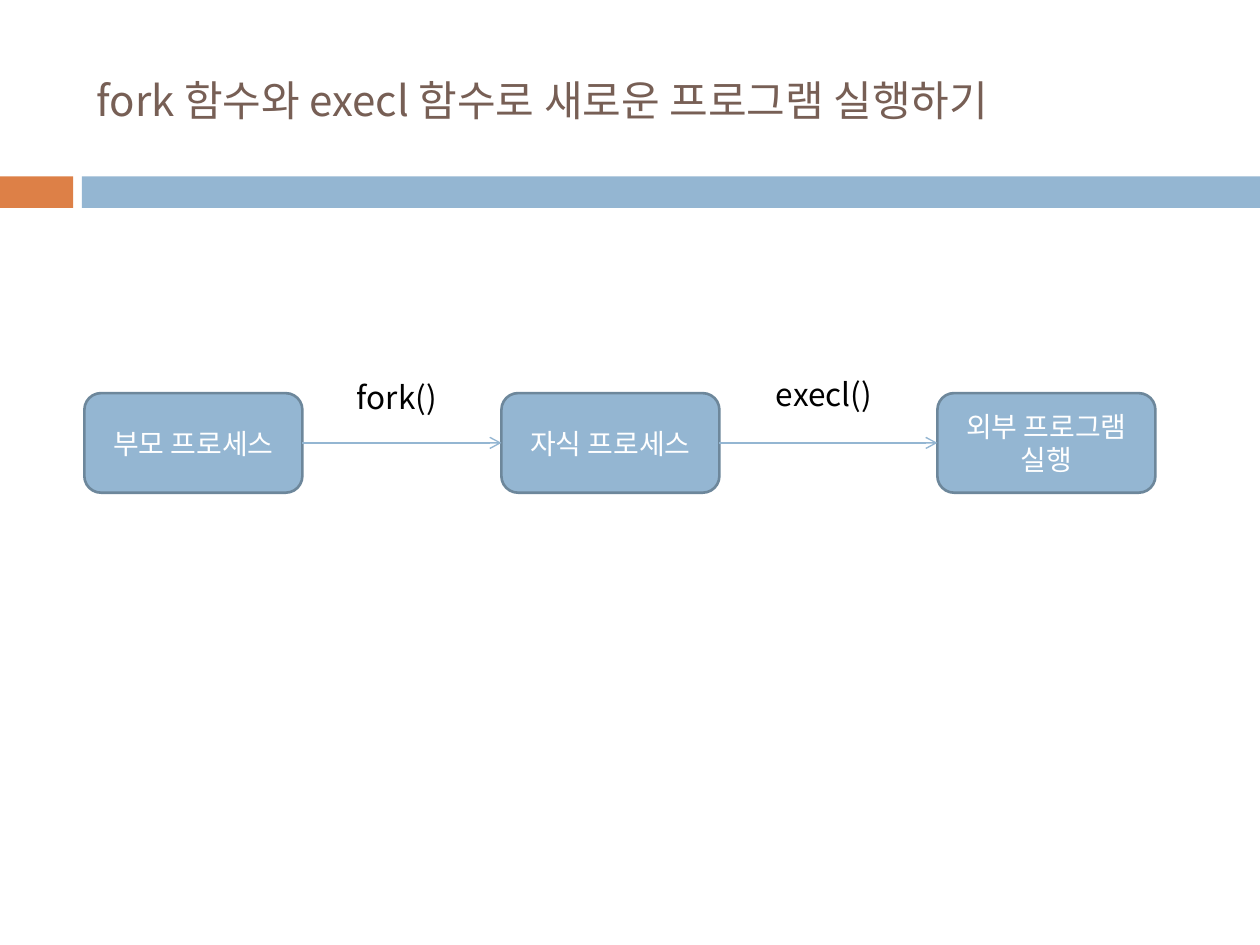
"""Build a slide showing how fork and execl start a new program."""
from dataclasses import dataclass

from lxml import etree
from pptx import Presentation
from pptx.dml.color import RGBColor
from pptx.enum.shapes import MSO_CONNECTOR, MSO_SHAPE
from pptx.enum.text import MSO_ANCHOR, PP_ALIGN
from pptx.oxml.ns import qn
from pptx.shapes.autoshape import Shape
from pptx.slide import Slide
from pptx.util import Inches, Pt

RECTANGLE = MSO_SHAPE.RECTANGLE
ROUNDED = MSO_SHAPE.ROUNDED_RECTANGLE
STRAIGHT = MSO_CONNECTOR.STRAIGHT
MIDDLE, TOP = MSO_ANCHOR.MIDDLE, MSO_ANCHOR.TOP
LEFT, CENTER = PP_ALIGN.LEFT, PP_ALIGN.CENTER

ORANGE = RGBColor(0xDD, 0x80, 0x47)
BLUE = RGBColor(0x94, 0xB6, 0xD2)
OUTLINE = RGBColor(0x6D, 0x87, 0x9B)
BROWN = RGBColor(0x77, 0x5F, 0x55)
WHITE = RGBColor(0xFF, 0xFF, 0xFF)
BLACK = RGBColor(0x00, 0x00, 0x00)

FONT = "Noto Sans CJK KR"
WIDTH, HEIGHT = Inches(10), Inches(7.5)
COLUMNS, ROWS = 1000, 750
LEFT_SIDE, RIGHT_SIDE = 1, 3


@dataclass(frozen=True)
class Area:
    """Hold a rectangle in grid columns and rows."""

    column: int
    row: int
    columns: int
    rows: int

    def lengths(self) -> tuple[int, int, int, int]:
        """Return left, top, width and height on the slide."""
        return (
            WIDTH * self.column // COLUMNS,
            HEIGHT * self.row // ROWS,
            WIDTH * self.columns // COLUMNS,
            HEIGHT * self.rows // ROWS,
        )


@dataclass(frozen=True)
class TextStyle:
    """Describe how a text is set."""

    size: int
    color: RGBColor
    alignment: PP_ALIGN = CENTER
    anchor: MSO_ANCHOR = MIDDLE


@dataclass(frozen=True)
class Label:
    """Pair a text with its area."""

    text: str
    area: Area


TITLE_STYLE = TextStyle(24, BROWN, LEFT)
PROCESS_STYLE = TextStyle(16, WHITE)
CALL_STYLE = TextStyle(18, BLACK, anchor=TOP)

TITLE = Label("fork 함수와 execl 함수로 새로운 프로그램 실행하기", Area(67, 25, 892, 108))
BANDS = ((Area(0, 140, 58, 25), ORANGE), (Area(65, 140, 935, 25), BLUE))
PROCESSES = [
    Label(text, Area(column, 312, 173, 79))
    for text, column in (
        ("부모 프로세스", 67),
        ("자식 프로세스", 398),
        ("외부 프로그램 실행", 744),
    )
]
CALLS = (
    Label("fork()", Area(256, 295, 118, 40)),
    Label("execl()", Area(587, 293, 134, 40)),
)


def write_text(shape: Shape, text: str, style: TextStyle) -> None:
    """Put one styled paragraph into a shape."""
    frame = shape.text_frame
    frame.text = text
    frame.word_wrap = True
    frame.vertical_anchor = style.anchor
    paragraph = frame.paragraphs[0]
    paragraph.alignment = style.alignment
    for run in paragraph.runs:
        run.font.size = Pt(style.size)
        run.font.color.rgb = style.color
        run.font.name = FONT
        properties = run._r.get_or_add_rPr()
        etree.SubElement(properties, qn("a:ea"), typeface=FONT)


def add_label(slide: Slide, label: Label, style: TextStyle) -> None:
    """Add a text box."""
    write_text(slide.shapes.add_textbox(*label.area.lengths()), label.text, style)


def add_block(slide: Slide, kind: MSO_SHAPE, area: Area, color: RGBColor) -> Shape:
    """Add a filled shape without outline or shadow."""
    shape = slide.shapes.add_shape(kind, *area.lengths())
    shape.shadow.inherit = False
    shape.fill.solid()
    shape.fill.fore_color.rgb = color
    shape.line.fill.background()
    return shape


def add_process(slide: Slide, process: Label) -> Shape:
    """Add an outlined process box with its name."""
    shape = add_block(slide, ROUNDED, process.area, BLUE)
    shape.line.color.rgb = OUTLINE
    shape.line.width = Pt(1.5)
    write_text(shape, process.text, PROCESS_STYLE)
    return shape


def add_arrow(slide: Slide, source: Shape, target: Shape) -> None:
    """Join two process boxes with an arrow."""
    connector = slide.shapes.add_connector(STRAIGHT, 0, 0, 0, 0)
    connector.begin_connect(source, RIGHT_SIDE)
    connector.end_connect(target, LEFT_SIDE)
    connector.line.color.rgb = BLUE
    connector.line.width = Pt(0.79)
    etree.SubElement(connector.line._get_or_add_ln(), qn("a:tailEnd"), type="arrow")
    etree.SubElement(connector._element.spPr, qn("a:effectLst"))


def main() -> None:
    """Build and save the presentation."""
    presentation = Presentation()
    presentation.slide_width, presentation.slide_height = WIDTH, HEIGHT
    slide = presentation.slides.add_slide(presentation.slide_layouts[6])
    for area, color in BANDS:
        add_block(slide, RECTANGLE, area, color)
    add_label(slide, TITLE, TITLE_STYLE)
    boxes = [add_process(slide, process) for process in PROCESSES]
    for source, target in zip(boxes, boxes[1:]):
        add_arrow(slide, source, target)
    for call in CALLS:
        add_label(slide, call, CALL_STYLE)
    presentation.save("out.pptx")


if __name__ == "__main__":
    main()
